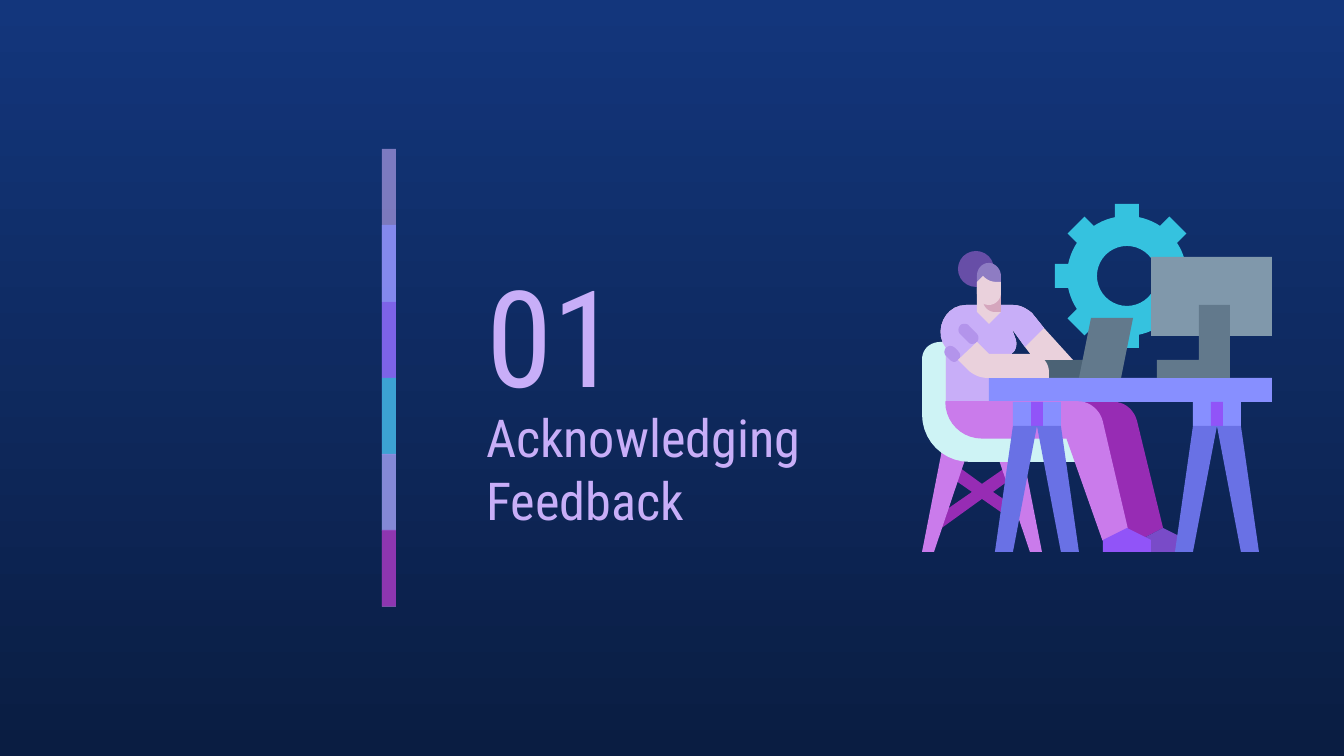
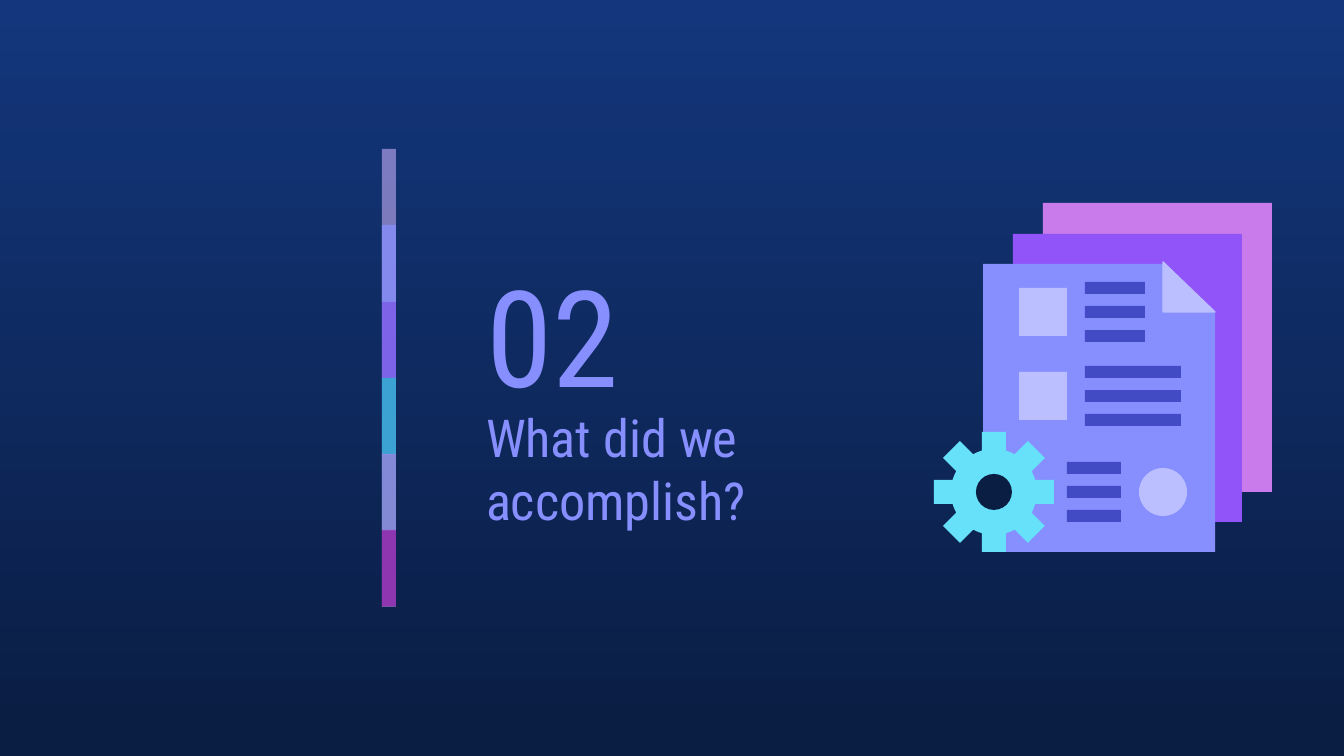
from math import asin, atan2, cos, hypot, pi, sin

from lxml import etree
from pptx import Presentation
from pptx.dml.color import RGBColor
from pptx.enum.shapes import MSO_SHAPE
from pptx.enum.text import MSO_ANCHOR, MSO_AUTO_SIZE, PP_ALIGN
from pptx.oxml.ns import qn
from pptx.util import Pt

PX = 914400 / 134.4
RECTANGLE, OVAL = MSO_SHAPE.RECTANGLE, MSO_SHAPE.OVAL
MIDDLE, LEFT, NO_FIT = MSO_ANCHOR.MIDDLE, PP_ALIGN.LEFT, MSO_AUTO_SIZE.NONE
FONT = "Roboto Condensed"

NIGHT_TOP = RGBColor(0x13, 0x36, 0x7C)
NIGHT = RGBColor(0x0A, 0x1D, 0x42)
LILAC = RGBColor(0xC8, 0xAE, 0xF8)
DARK_LILAC = RGBColor(0xB3, 0x94, 0xEB)
PERIWINKLE = RGBColor(0x87, 0x8F, 0xFF)
PALE_PERIWINKLE = RGBColor(0xBB, 0xBF, 0xFF)
VIOLET = RGBColor(0x91, 0x54, 0xF8)
DARK_VIOLET = RGBColor(0x79, 0x4B, 0xC8)
TEAL = RGBColor(0x35, 0xC2, 0xDF)
CYAN = RGBColor(0x67, 0xE0, 0xF9)
ICE = RGBColor(0xCE, 0xF3, 0xF5)
ORCHID = RGBColor(0xCA, 0x7B, 0xEB)
PURPLE = RGBColor(0x97, 0x2C, 0xB4)
INDIGO = RGBColor(0x69, 0x71, 0xE5)
INK = RGBColor(0x42, 0x4B, 0xC4)
SKIN = RGBColor(0xEA, 0xD1, 0xDC)
SKIN_SHADE = RGBColor(0xD5, 0xA6, 0xBD)
HAIR = RGBColor(0x67, 0x4E, 0xA7)
LIGHT_HAIR = RGBColor(0x8E, 0x7C, 0xC3)
STEEL = RGBColor(0x62, 0x79, 0x8C)
DARK_STEEL = RGBColor(0x4B, 0x62, 0x75)
LIGHT_STEEL = RGBColor(0x80, 0x98, 0xAB)

BAR_COLOURS = [(LILAC, 59), (PERIWINKLE, 74), (VIOLET, 53),
               (TEAL, 76), (ORCHID, 56), (PURPLE, 74)]
SECTIONS = [("01", "Acknowledging Feedback", LILAC),
            ("02", "What did we accomplish?", PERIWINKLE)]


def add_preset(shapes, kind, colour, *bounds):
    shape = shapes.add_shape(kind, *(round(value * PX) for value in bounds))
    shape.shadow.inherit = False
    shape.fill.solid()
    shape.fill.fore_color.rgb = colour
    shape.line.fill.background()
    return shape


def add_outline(shapes, colour, *contours):
    """Fill closed contours; a pair is a line end, six values a Bézier curve."""
    builder = None
    for start, *steps in contours:
        points = [start]
        for step in steps:
            if len(step) == 2:
                points.append(step)
                continue
            corners = [points[-1], step[:2], step[2:4], step[4:]]
            for t in (i / 10 for i in range(1, 11)):
                weights = ((1 - t) ** 3, 3 * t * (1 - t) ** 2, 3 * t * t * (1 - t), t ** 3)
                points.append(tuple(sum(w * corner[axis] for w, corner in zip(weights, corners))
                                    for axis in (0, 1)))
        points = [(x * PX, y * PX) for x, y in points]
        if builder is None:
            builder = shapes.build_freeform(*points[0])
        else:
            builder.move_to(*points[0])
        builder.add_line_segments(points[1:], close=True)
    shape = builder.convert_to_shape()
    shape.shadow.inherit = False
    shape.fill.solid()
    shape.fill.fore_color.rgb = colour
    shape.line.fill.background()
    return shape


deck = Presentation()
deck.slide_width, deck.slide_height = round(1344 * PX), round(756 * PX)
backdrop = deck.slide_master.background.fill
backdrop.gradient()
backdrop.gradient_angle = 270
for stop, position, colour in zip(backdrop.gradient_stops, (0, 1), (NIGHT_TOP, NIGHT)):
    stop.position = position
    stop.color.rgb = colour

# Shared section layout: colour bar, number and heading
drawings = []
for number, heading, colour in SECTIONS:
    slide = deck.slides.add_slide(deck.slide_layouts[0])
    bars = slide.shapes.add_group_shape().shapes
    for i, (bar_colour, opacity) in enumerate(BAR_COLOURS):
        height = 76 if i == len(BAR_COLOURS) - 1 else 153
        bar = add_preset(bars, RECTANGLE, bar_colour, 382, round(149 + 76.3 * i), 14, height)
        tint = bar.element.xpath(".//a:solidFill/a:srgbClr")[0]
        etree.SubElement(tint, qn("a:alpha"), val=str(opacity * 1000))

    for box, text, size, bounds in [
        (slide.placeholders[1], number, 72, (473, 243, 235, 181)),
        (slide.shapes.title, heading, 28, (473, 423, 386, 90)),
    ]:
        box.left, box.top, box.width, box.height = (round(value * PX) for value in bounds)
        frame = box.text_frame
        frame.text = text
        inset = round(13 * PX)
        for name, value in {"word_wrap": True, "auto_size": NO_FIT, "vertical_anchor": MIDDLE,
                            "margin_left": inset, "margin_right": inset,
                            "margin_top": inset, "margin_bottom": inset}.items():
            setattr(frame, name, value)
        para = frame.paragraphs[0]
        para.alignment = LEFT
        para.space_before = Pt(0)
        font = para.runs[0].font
        font.name, font.size, font.color.rgb = FONT, Pt(size), colour
    drawings.append(slide.shapes.add_group_shape().shapes)
desk_art, report_art = drawings

gears = []
for centre_x, centre_y, body, tip in [(1127, 276, 60, 72), (994, 492, 43, 60)]:
    root, crest = asin(12 / body), atan2(12, tip)
    reach = hypot(12, tip)
    gear = []
    for tooth in range(8):
        angle = tooth * pi / 4
        polar = [(body, angle - root), (reach, angle - crest),
                 (reach, angle + crest), (body, angle + root)]
        gap = pi / 4 - 2 * root
        polar += [(body, angle + root + gap * i / 5) for i in range(1, 5)]
        gear += [(centre_x + r * cos(a), centre_y + r * sin(a)) for r, a in polar]
    gears.append(gear)

# Slide 1: woman working at a desk
gear_hole = [(1127 + 30 * cos(i * pi / 20), 276 - 30 * sin(i * pi / 20)) for i in range(40)]
add_outline(desk_art, TEAL, gears[0], gear_hole)
add_preset(desk_art, RECTANGLE, DARK_STEEL, 1043, 360, 42, 18)

# Chair
add_outline(desk_art, PURPLE, [
    (956, 465), (949, 476), (972, 492), (933, 519), (939, 530), (982, 499), (1005, 515),
    (1012, 505), (993, 492), (1015, 476), (1008, 466), (982, 484)])
for side in (-1, 1):
    add_outline(desk_art, ORCHID, [(982 + side * x, y) for x, y in
                                   [(12, 445), (48, 552), (60, 552), (39, 445)]])
add_outline(desk_art, ICE, [
    (941, 342), (930, 342, 922, 349, 922, 360), (922, 414),
    (922, 441, 943, 462, 970, 462), (1085, 462), (1085, 433), (982, 433),
    (966, 433, 953, 419, 953, 402), (953, 342)])

# Far leg and shoe
add_outline(desk_art, PURPLE, [
    (982, 402), (982, 422, 999, 438, 1019, 438), (1103, 438), (1127, 540), (1140, 540),
    (1163, 528), (1137, 421), (1134, 410, 1125, 402, 1114, 402)])
add_outline(desk_art, DARK_VIOLET, [
    (1163, 528), (1140, 540), (1127, 540), (1127, 552), (1187, 552), (1187, 540)])

# Torso: the bare arm lies under the shirt
shirt_left = [(966, 305), (945, 305, 933, 331, 946, 348), (946, 402), (1012, 402), (1012, 353),
              (1016, 351, 1017, 345, 1016, 340), (1012, 329), (1025, 347)]
shirt_right = [(1044, 328), (1032, 313), (1027, 309, 1021, 305, 1013, 305)]
add_outline(desk_art, SKIN, [*shirt_left, (1035, 360), (1073, 360), *shirt_right])
add_outline(desk_art, LILAC, [*shirt_left, *shirt_right])
add_preset(desk_art, RECTANGLE, PERIWINKLE, 989, 378, 283, 24)
add_outline(desk_art, DARK_LILAC, [
    (950, 346), (949, 346, 947, 347, 946, 348), (944, 350, 944, 354, 946, 356), (950, 360),
    (951, 361, 953, 362, 954, 362), (956, 362, 957, 361, 958, 360),
    (961, 358, 961, 354, 958, 351), (955, 348), (954, 347, 952, 346, 950, 346)])
add_outline(desk_art, DARK_LILAC, [
    (965, 324), (963, 324, 961, 324, 960, 326), (958, 328, 958, 332, 960, 334), (968, 342),
    (969, 343, 970, 344, 972, 344), (974, 344, 976, 343, 977, 342),
    (979, 340, 979, 336, 977, 334), (969, 326), (968, 324, 966, 324, 965, 324)])
add_outline(desk_art, SKIN, [(977, 288), (977, 312), (989, 324), (1001, 312), (1001, 288)])
add_outline(desk_art, SKIN, [
    (977, 342), (958, 360), (969, 371), (974, 375, 980, 378, 987, 378), (1049, 378), (1049, 372),
    (1049, 362, 1041, 354, 1031, 354), (989, 354)])
add_outline(desk_art, STEEL, [(1091, 318), (1079, 378), (1121, 378), (1133, 318)])

# Near leg and shoe
near_leg = add_outline(desk_art, ORCHID, [
    (946, 402), (946, 422, 962, 438, 982, 438), (1067, 438), (1103, 540), (1127, 528),
    (1102, 421), (1099, 410, 1089, 402, 1078, 402)])
near_leg.line.color.rgb = ORCHID
near_leg.line.width = Pt(0.75)
add_outline(desk_art, VIOLET, [
    (1127, 528), (1103, 540), (1103, 552), (1151, 552), (1151, 540)])

# Monitor and trestles
add_preset(desk_art, RECTANGLE, LIGHT_STEEL, 1151, 257, 121, 79)
add_outline(desk_art, STEEL, [
    (1199, 305), (1199, 360), (1157, 360), (1157, 378), (1230, 378), (1230, 305)])
for middle in (1217, 1037):
    add_preset(desk_art, RECTANGLE, PERIWINKLE, middle - 24, 402, 48, 24)
    add_preset(desk_art, RECTANGLE, VIOLET, middle - 6, 402, 12, 24)
    for side in (-1, 1):
        add_outline(desk_art, INDIGO, [(middle + side * x, y) for x, y in
                                       [(0, 426), (24, 552), (42, 552), (24, 426)]])

# Head
add_outline(desk_art, SKIN_SHADE, [
    (983, 288), (983, 300), (983, 306, 988, 312, 995, 312), (1001, 312), (1001, 288)])
add_preset(desk_art, OVAL, HAIR, 958, 251, 36, 36)
add_outline(desk_art, LIGHT_HAIR, [
    (989, 263), (982, 263, 977, 269, 977, 276), (977, 288), (1001, 288), (1001, 276),
    (1001, 269, 995, 263, 989, 263)])
add_outline(desk_art, SKIN, [
    (983, 276), (977, 282), (977, 293), (977, 300, 982, 305, 989, 305),
    (995, 305, 1001, 300, 1001, 293), (1001, 282), (997, 282), (991, 282, 987, 280, 983, 276)])

# Slide 2: stack of reports with a gear
add_outline(report_art, ORCHID, [
    (1043, 203), (1043, 234), (1242, 234), (1242, 492), (1272, 492), (1272, 203)])
add_outline(report_art, VIOLET, [
    (1013, 234), (1013, 264), (1163, 264), (1211, 312), (1211, 522), (1242, 522), (1242, 234)])
add_outline(report_art, PERIWINKLE, [
    (983, 264), (983, 552), (1215, 552), (1215, 313), (1166, 264)])
add_outline(report_art, CYAN, gears[1])
add_preset(report_art, OVAL, NIGHT, 976, 474, 36, 36)
for top in (288, 372):
    add_preset(report_art, RECTANGLE, PALE_PERIWINKLE, 1019, top, 48, 48)
add_preset(report_art, OVAL, PALE_PERIWINKLE, 1139, 468, 48, 48)
for left, top, width in [(1085, 282, 60), (1085, 366, 96), (1067, 462, 54)]:
    for row in range(3):
        add_preset(report_art, RECTANGLE, INK, left, top + 24 * row, width, 12)
folded_corner = add_outline(report_art, PALE_PERIWINKLE, [(1163, 262), (1163, 312), (1215, 312)])
folded_corner.line.color.rgb = PALE_PERIWINKLE
folded_corner.line.width = Pt(0.75)

deck.save("out.pptx")
